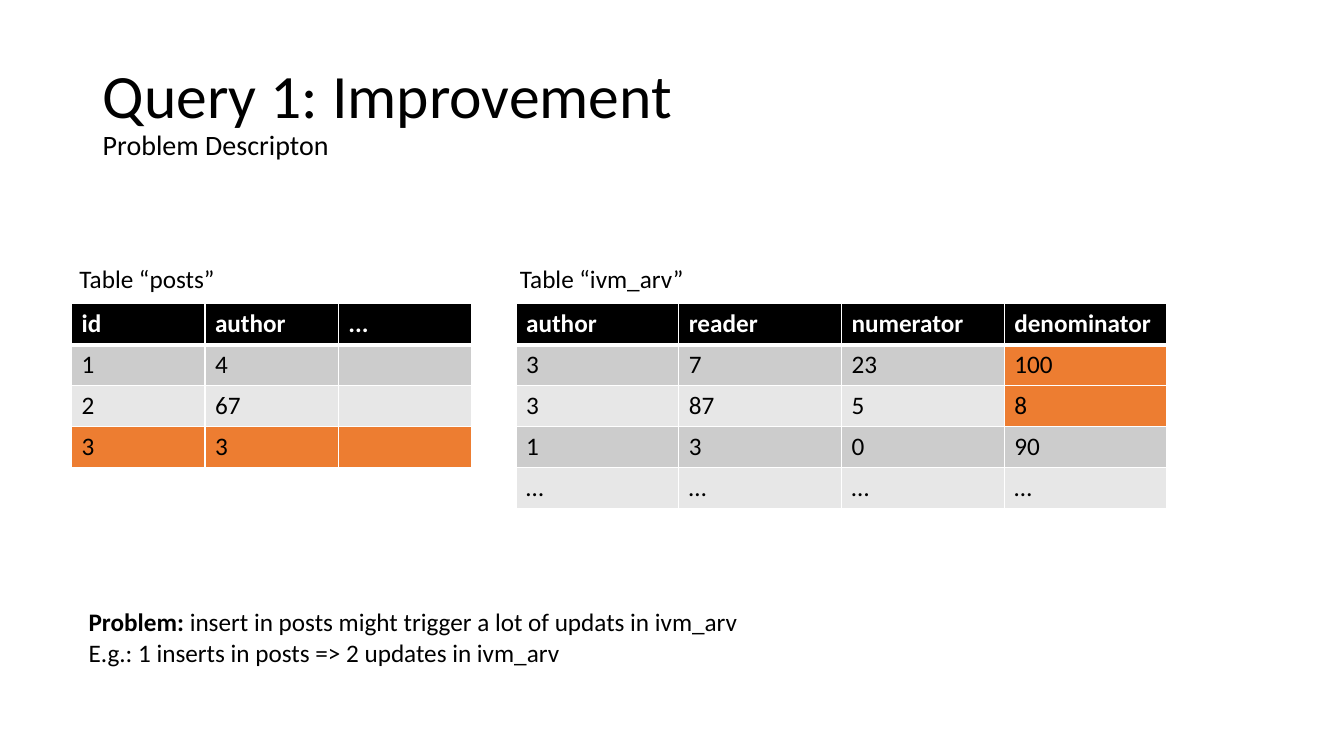
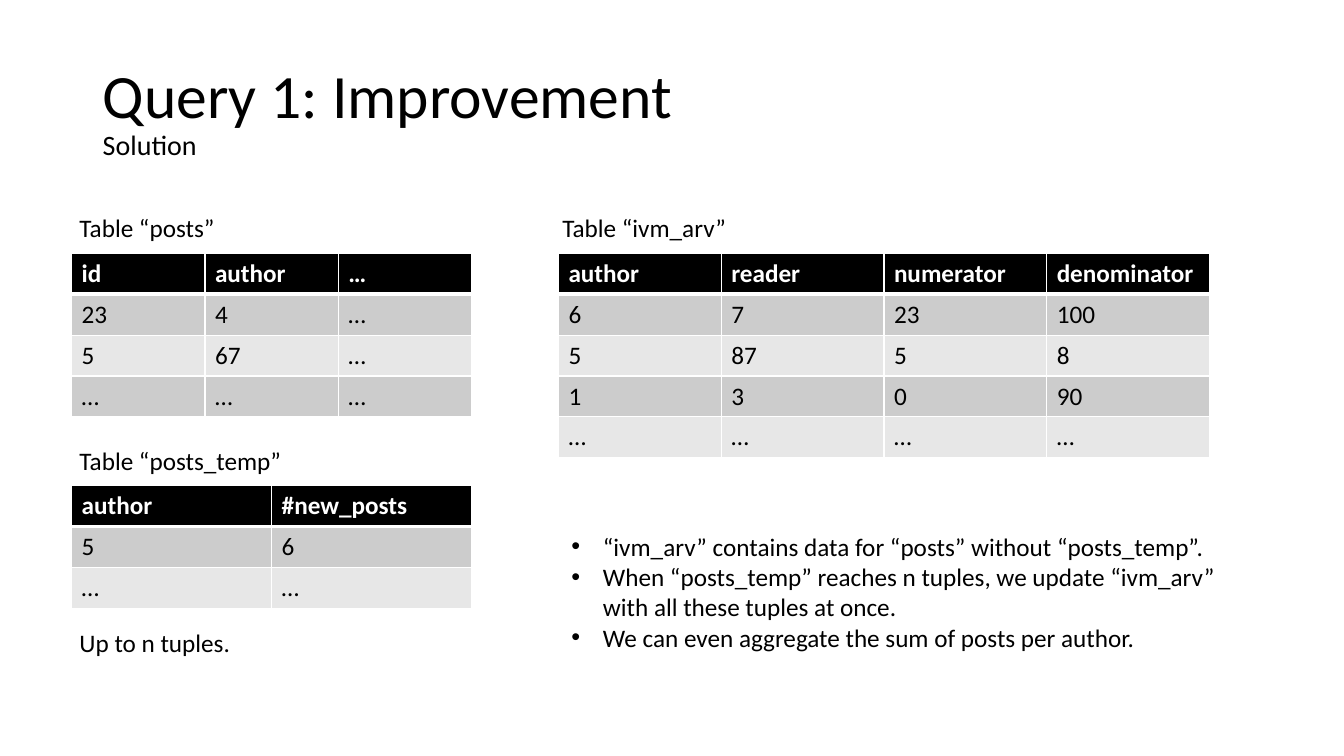
from lxml.etree import SubElement
from pptx import Presentation
from pptx.dml.color import RGBColor
from pptx.enum.text import MSO_ANCHOR as Anchor, MSO_AUTO_SIZE as AutoSize, PP_ALIGN as Align
from pptx.oxml.ns import qn
from pptx.util import Pt

BLACK = RGBColor(0x00, 0x00, 0x00)
WHITE = RGBColor(0xFF, 0xFF, 0xFF)
ORANGE = RGBColor(0xED, 0x7D, 0x31)
BANDS = (RGBColor(0xCC, 0xCC, 0xCC), RGBColor(0xE7, 0xE7, 0xE7))

TITLE_ONLY, TITLE_AND_CONTENT = 5, 1
LEFT_COLUMN = 51.1
POSTS_WIDTH, IVM_WIDTH = 285.9, 465.1
IVM_HEADER = ("author", "reader", "numerator", "denominator")
ELLIPSIS_ROW = ("…",) * 4


class Deck:
    FONT = "Calibri"
    TITLE_SIZE, SUBTITLE_SIZE, BODY_SIZE = 44, 20, 18
    ROW_HEIGHT = 29.2
    CAPTION_HEIGHT, CAPTION_STEP = 29.1, 32.7
    BULLET_INDENT = 22.5

    def __init__(self):
        self.presentation = Presentation()
        self.presentation.slide_width = Pt(960)
        self.presentation.slide_height = Pt(540)
        self.slide = None

    def style_run(self, run, size=BODY_SIZE, color=BLACK, bold=False):
        font = run.font
        font.name, font.size, font.bold = self.FONT, Pt(size), bold
        font.color.rgb = color

    def place(self, shape, left, top, width, height):
        shape.left, shape.top = Pt(left), Pt(top)
        shape.width, shape.height = Pt(width), Pt(height)
        shape.text_frame.word_wrap = True
        shape.text_frame.auto_size = AutoSize.NONE

    def add_slide(self, layout, title, subtitle):
        self.slide = self.presentation.slides.add_slide(
            self.presentation.slide_layouts[layout])
        heading = self.slide.shapes.title
        self.place(heading, 66.2, 28.8, 828, 104.4)
        heading.text_frame.vertical_anchor = Anchor.MIDDLE
        paragraph = heading.text_frame.paragraphs[0]
        paragraph.text = f"{title}\n{subtitle}"
        paragraph.alignment = Align.LEFT
        paragraph.line_spacing = 0.9
        for run, size in zip(paragraph.runs, (self.TITLE_SIZE, self.SUBTITLE_SIZE)):
            self.style_run(run, size)

    def text(self, content, left, top, width, height=CAPTION_HEIGHT, lead=""):
        """Add a text box; lead is set in bold before the first line."""
        box = self.slide.shapes.add_textbox(0, 0, 0, 0)
        self.place(box, left, top, width, height)
        frame = box.text_frame
        frame.text = lead + "\n" + content if lead else content
        if lead:
            first, *others = content.split("\n")
            frame.text = "\n".join([lead, *others])
            frame.paragraphs[0].add_run().text = first
        for paragraph in frame.paragraphs:
            for run in paragraph.runs:
                self.style_run(run, bold=bool(lead) and run.text == lead)

    def bullets(self, items, left, top, width, height):
        body = self.slide.placeholders[1]
        self.place(body, left, top, width, height)
        body.text_frame.text = "\n".join(items)
        for paragraph in body.text_frame.paragraphs:
            paragraph.space_before = Pt(0)
            self.style_run(paragraph.runs[0])
            properties = paragraph._p.get_or_add_pPr()
            properties.set("marL", str(Pt(self.BULLET_INDENT)))
            properties.set("indent", str(-Pt(self.BULLET_INDENT)))
            SubElement(properties, qn("a:buFont"), typeface="Arial")
            SubElement(properties, qn("a:buChar"), char="•")

    def border_cell(self, cell, top, bottom):
        """Draw white cell edges; must precede the fill in the cell's XML."""
        properties = cell._tc.get_or_add_tcPr()
        for edge, weight in (("L", 1), ("R", 1), ("T", top), ("B", bottom)):
            line = SubElement(properties, qn(f"a:ln{edge}"), w=str(Pt(weight)))
            fill = SubElement(line, qn("a:solidFill"))
            SubElement(fill, qn("a:srgbClr"), val=str(WHITE))

    def captioned_table(self, caption, rows, left, top, width, caption_shift=1.4,
                        highlighted=()):
        """Add a caption at top and its table below; highlighted holds (row, column) pairs."""
        self.text(caption, left - caption_shift, top, 180)
        columns = len(rows[0])
        table = self.slide.shapes.add_table(
            len(rows), columns, Pt(left), Pt(top + self.CAPTION_STEP),
            Pt(width), Pt(self.ROW_HEIGHT * len(rows))).table
        for column in table.columns:
            column.width = Pt(width / columns)
        for r, values in enumerate(rows):
            table.rows[r].height = Pt(self.ROW_HEIGHT)
            is_header = r == 0
            for c, value in enumerate(values):
                cell = table.cell(r, c)
                self.border_cell(cell, 3 if r == 1 else 1, 3 if is_header else 1)
                cell.fill.solid()
                if (r, c) in highlighted:
                    cell.fill.fore_color.rgb = ORANGE
                else:
                    cell.fill.fore_color.rgb = BLACK if is_header else BANDS[(r - 1) % 2]
                if value:
                    cell.text_frame.text = value
                    self.style_run(cell.text_frame.paragraphs[0].runs[0],
                                   color=WHITE if is_header else BLACK, bold=is_header)

    def save(self):
        self.presentation.save("out.pptx")


def add_problem_slide(deck):
    deck.add_slide(TITLE_ONLY, "Query 1: Improvement", "Problem Descripton")
    deck.captioned_table(
        "Table “posts”",
        [("id", "author", "..."), ("1", "4", ""), ("2", "67", ""), ("3", "3", "")],
        LEFT_COLUMN, 184.3, POSTS_WIDTH, highlighted={(3, 0), (3, 1), (3, 2)})
    deck.captioned_table(
        "Table “ivm_arv”",
        [IVM_HEADER, ("3", "7", "23", "100"), ("3", "87", "5", "8"),
         ("1", "3", "0", "90"), ELLIPSIS_ROW],
        368.6, 184.3, IVM_WIDTH, caption_shift=4.3, highlighted={(1, 3), (2, 3)})
    deck.text("insert in posts might trigger a lot of updats in ivm_arv\n"
              "E.g.: 1 inserts in posts => 2 updates in ivm_arv",
              56.2, 429.8, 500, 51, lead="Problem: ")


def add_solution_slide(deck):
    deck.add_slide(TITLE_AND_CONTENT, "Query 1: Improvement", "Solution")
    deck.captioned_table(
        "Table “posts”",
        [("id", "author", "…"), ("23", "4", "…"), ("5", "67", "…"), ("…", "…", "…")],
        LEFT_COLUMN, 148.3, POSTS_WIDTH)
    deck.captioned_table(
        "Table “posts_temp”",
        [("author", "#new_posts"), ("5", "6"), ("…", "…")],
        LEFT_COLUMN, 314.2, POSTS_WIDTH)
    deck.text("Up to n tuples.", 49.7, 444.2, 180)
    deck.captioned_table(
        "Table “ivm_arv”",
        [IVM_HEADER, ("6", "7", "23", "100"), ("5", "87", "5", "8"),
         ("1", "3", "0", "90"), ELLIPSIS_ROW],
        398.9, 148.3, IVM_WIDTH, caption_shift=4.3)
    deck.bullets(
        ["“ivm_arv” contains data for “posts” without “posts_temp”.",
         "When “posts_temp” reaches n tuples, we update “ivm_arv” with all these tuples at once.",
         "We can even aggregate the sum of posts per author."],
        401, 375.8, 479.5, 95)


def main():
    deck = Deck()
    add_problem_slide(deck)
    add_solution_slide(deck)
    deck.save()


if __name__ == "__main__":
    main()
